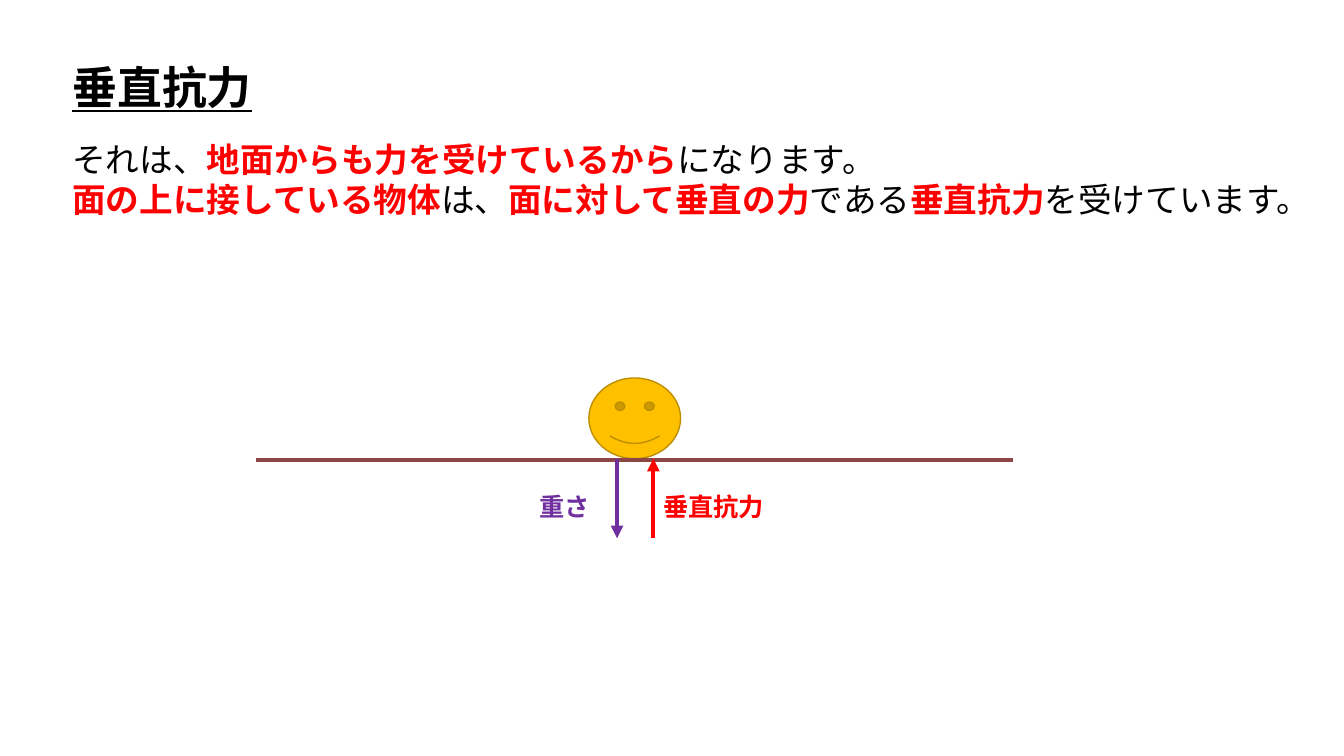
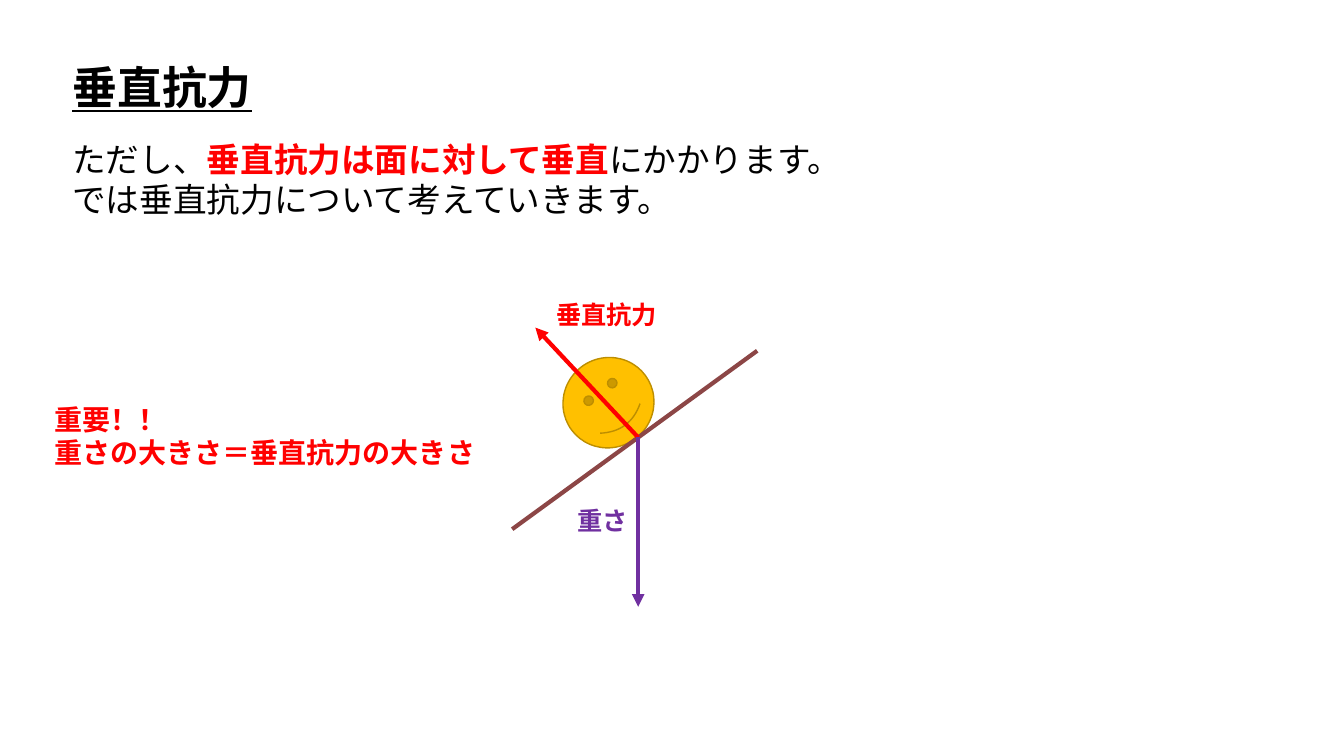
from lxml import etree
from pptx import Presentation
from pptx.dml.color import RGBColor
from pptx.enum.shapes import MSO_CONNECTOR, MSO_SHAPE
from pptx.enum.text import MSO_AUTO_SIZE
from pptx.oxml.ns import qn
from pptx.util import Emu, Pt

STRAIGHT = MSO_CONNECTOR.STRAIGHT
SMILEY = MSO_SHAPE.SMILEY_FACE
FIT_SHAPE = MSO_AUTO_SIZE.SHAPE_TO_FIT_TEXT

# Shared style
PX = 9144  # 100 px to the inch
FONT = "Noto Sans CJK JP"
BLACK, RED, PURPLE = "000000", "FF0000", "7030A0"
GROUND, BALL, BALL_EDGE = "8C4646", "FFC000", "BD8E00"
TITLE = "垂直抗力"
TITLE_BOX = (62, 54, 200, 64)
BODY_LEFT, BODY_TOP, BODY_HEIGHT = 62, 133, 91
LABEL_HEIGHT = 40

# Content: lines of (text, colour) runs; coloured text is bold
SLIDES = [
    {
        "body_width": 1266,
        "body": [
            [("それは、", BLACK), ("地面からも力を受けているから", RED),
             ("になります。", BLACK)],
            [("面の上に接している物体", RED), ("は、", BLACK),
             ("面に対して垂直の力", RED), ("である", BLACK),
             ("垂直抗力", RED), ("を受けています。", BLACK)],
        ],
        "ball": (584, 375, 91, 80),
        "tilt": 0,
        "ground": (254, 456, 1005, 456),
        "forces": [
            ((648, 534, 648, 455), RED),
            ((612, 455, 612, 534), PURPLE),
        ],
        "labels": [
            ("垂直抗力", RED, 648, 483, 120),
            ("重さ", PURPLE, 525, 483, 81),
        ],
    },
    {
        "body_width": 794,
        "body": [
            [("ただし、", BLACK), ("垂直抗力は面に対して垂直", RED),
             ("にかかります。", BLACK)],
            [("では垂直抗力について考えていきます。", BLACK)],
        ],
        "ball": (558, 355, 91, 89),
        "tilt": 323.4,
        "ground": (508, 525, 751, 348),
        "forces": [
            ((633, 434, 531, 325), RED),
            ((633, 434, 633, 602), PURPLE),
        ],
        "labels": [
            ("垂直抗力", RED, 542, 292, 133),
            ("重さ", PURPLE, 563, 496, 81),
        ],
        "note_box": (44, 394, 441, 77),
        "note": [[("重要！！", RED)],
                 [("重さの大きさ＝垂直抗力の大きさ", RED)]],
    },
]


def px(*values):
    return [Emu(v * PX) for v in values]


def rgb(color):
    return RGBColor.from_string(color)


def add_text(slide, box, lines, size, wrap=False, title=False):
    tf = slide.shapes.add_textbox(*px(*box)).text_frame
    tf.word_wrap = wrap
    tf.auto_size = FIT_SHAPE
    for i, line in enumerate(lines):
        p = tf.add_paragraph() if i else tf.paragraphs[0]
        for text, color in line:
            r = p.add_run()
            r.text = text
            r.font.size = Pt(size)
            r.font.bold = title or color != BLACK
            if title:
                r.font.underline = True
            r.font.color.rgb = rgb(color)
            r.font.name = FONT
            # East Asian typeface
            ea = etree.SubElement(r.font._element, qn("a:ea"))
            ea.set("typeface", FONT)


def add_line(slide, ends, color, arrow=False):
    line = slide.shapes.add_connector(STRAIGHT, *px(*ends))
    line.line.color.rgb = rgb(color)
    line.line.width = Pt(3)
    if arrow:
        tail = etree.SubElement(line.line._get_or_add_ln(), qn("a:tailEnd"))
        tail.set("type", "triangle")
    etree.SubElement(line._element.spPr, qn("a:effectLst"))


def add_ball(slide, box, tilt):
    sp = slide.shapes.add_shape(SMILEY, *px(*box))
    sp.shadow.inherit = False
    sp.rotation = tilt
    sp.fill.solid()
    sp.fill.fore_color.rgb = rgb(BALL)
    sp.line.color.rgb = rgb(BALL_EDGE)
    sp.line.width = Pt(1)


def build_slide(prs, data):
    slide = prs.slides.add_slide(prs.slide_layouts[6])

    # Title and explanation
    add_text(slide, TITLE_BOX, [[(TITLE, BLACK)]], 32, title=True)
    body_box = (BODY_LEFT, BODY_TOP, data["body_width"], BODY_HEIGHT)
    add_text(slide, body_box, data["body"], 24)

    # Ball on the ground with its forces
    add_ball(slide, data["ball"], data["tilt"])
    add_line(slide, data["ground"], GROUND)
    for ends, color in data["forces"]:
        add_line(slide, ends, color, arrow=True)
    for text, color, left, top, width in data["labels"]:
        box = (left, top, width, LABEL_HEIGHT)
        add_text(slide, box, [[(text, color)]], 18, wrap=True)

    # Key point
    if "note" in data:
        add_text(slide, data["note_box"], data["note"], 20)


def main():
    prs = Presentation()
    prs.slide_width, prs.slide_height = px(1333, 750)
    for data in SLIDES:
        build_slide(prs, data)
    prs.save("out.pptx")


if __name__ == "__main__":
    main()
